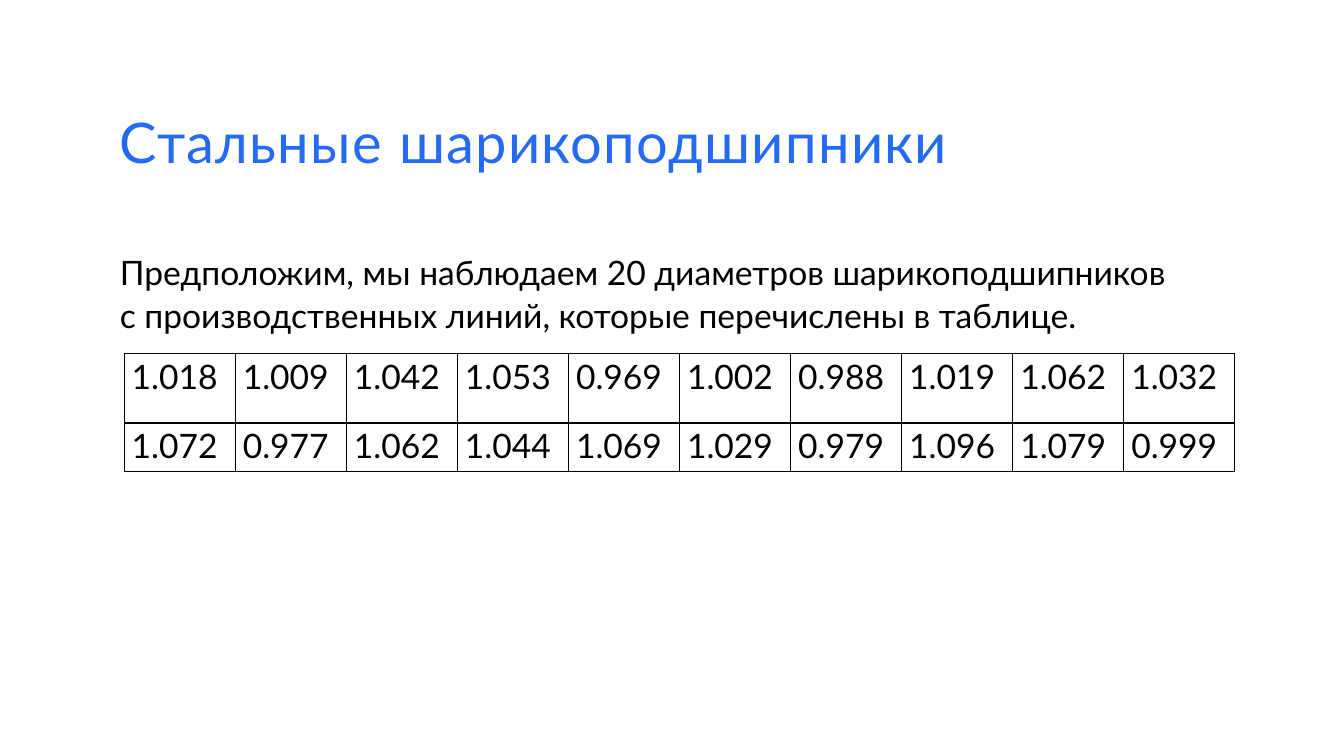
"""Build the slide with the table of steel ball bearing diameters."""
from dataclasses import dataclass

from lxml.etree import SubElement
from pptx import Presentation
from pptx.dml.color import RGBColor
from pptx.enum.text import MSO_ANCHOR, PP_ALIGN
from pptx.oxml.ns import qn
from pptx.util import Cm, Pt


@dataclass(frozen=True)
class Theme:
    font: str = "Lato"
    heading: RGBColor = RGBColor(0x24, 0x6A, 0xF3)
    ink: RGBColor = RGBColor(0, 0, 0)
    heading_size: Pt = Pt(40)
    body_size: Pt = Pt(24)
    border: Pt = Pt(1)


theme = Theme()


def add_run(paragraph, text, size, color):
    run = paragraph.add_run()
    run.text = text
    run.font.name = theme.font
    run.font.size = size
    run.font.color.rgb = color
    return run


def add_text_frame(slide, top, height):
    frame = slide.shapes.add_textbox(Cm(2.77), Cm(top), Cm(28.4), Cm(height)).text_frame
    frame.word_wrap = True
    frame.vertical_anchor = MSO_ANCHOR.TOP
    return frame


presentation = Presentation()
presentation.slide_width = Cm(33.87)
presentation.slide_height = Cm(19.05)
slide = presentation.slides.add_slide(presentation.slide_layouts[6])

heading = add_text_frame(slide, 2.77, 2.18).paragraphs[0]
heading.line_spacing = 0.9
heading_run = add_run(heading, "Стальные шарикоподшипники", theme.heading_size, theme.heading)
heading_run.font._element.set("spc", "100")

intro = add_text_frame(slide, 6.15, 3).paragraphs[0]
intro.line_spacing = 1.07
intro.space_after = Pt(8)
add_run(intro, "Предположим, мы наблюдаем 20 диаметров шарикоподшипников", theme.body_size, theme.ink)
intro.add_line_break()
add_run(intro, "с производственных линий, которые перечислены в таблице.", theme.body_size, theme.ink)

diameters = [
    ["1.018", "1.009", "1.042", "1.053", "0.969", "1.002", "0.988", "1.019", "1.062", "1.032"],
    ["1.072", "0.977", "1.062", "1.044", "1.069", "1.029", "0.979", "1.096", "1.079", "0.999"],
]
row_heights = [Cm(1.76), Cm(1.22)]
table = slide.shapes.add_table(
    len(diameters), len(diameters[0]), Cm(3.13), Cm(8.9), Cm(28), sum(row_heights)
).table
table.first_row = False
table.horz_banding = False
for column in table.columns:
    column.width = Cm(2.8)

for row, height, values in zip(table.rows, row_heights, diameters):
    row.height = height
    for cell, value in zip(row.cells, values):
        cell.margin_left = cell.margin_right = Cm(0.19)
        cell.margin_top = cell.margin_bottom = 0
        cell.vertical_anchor = MSO_ANCHOR.TOP
        diameter = cell.text_frame.paragraphs[0]
        diameter.alignment = PP_ALIGN.JUSTIFY
        diameter.line_spacing = 1.07
        diameter.space_after = Pt(8)
        add_run(diameter, value, theme.body_size, theme.ink)
        properties = cell._tc.get_or_add_tcPr()
        for side in ("lnL", "lnR", "lnT", "lnB"):
            border = SubElement(properties, qn(f"a:{side}"), w=str(theme.border))
            border_fill = SubElement(border, qn("a:solidFill"))
            SubElement(border_fill, qn("a:srgbClr"), val=str(theme.ink))
        SubElement(properties, qn("a:noFill"))

presentation.save("out.pptx")
